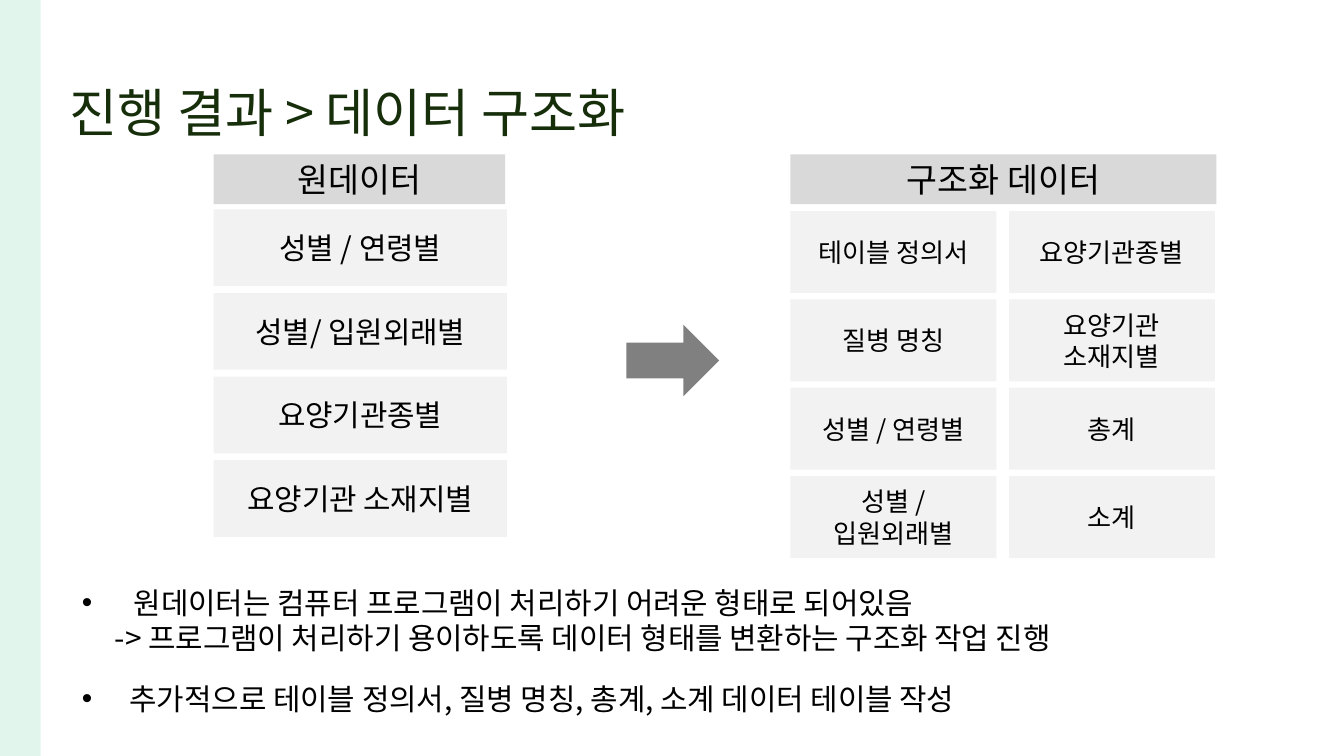
import dataclasses

import pptx
import pptx.dml.color
import pptx.enum.shapes
import pptx.enum.text
import pptx.oxml.ns
import pptx.util
from lxml import etree

Cm = pptx.util.Cm
qn = pptx.oxml.ns.qn
Shape = pptx.enum.shapes.MSO_SHAPE
Align = pptx.enum.text.PP_ALIGN
Anchor = pptx.enum.text.MSO_ANCHOR


@dataclasses.dataclass(frozen=True)
class Theme:
    font: str = "Noto Sans CJK KR"
    band: str = "D8F2E6"
    title: str = "162E0A"
    head: str = "D9D9D9"
    cell: str = "F2F2F2"
    arrow: str = "808080"
    ink: str = "000000"
    title_size: int = 28
    head_size: int = 18
    body_size: int = 16
    cell_size: int = 14


theme = Theme()


def add_run(para, text, size, color):
    run = para.add_run()
    run.text = text
    run.font.size = pptx.util.Pt(size)
    run.font.name = theme.font
    run.font.color.rgb = pptx.dml.color.RGBColor.from_string(color)
    east = etree.SubElement(run.font._element, qn("a:ea"))
    east.set("typeface", theme.font)


def add_block(kind, left, top, width, height, fill, text="", size=0):
    shape = slide.shapes.add_shape(kind, Cm(left), Cm(top), Cm(width), Cm(height))
    shape.shadow.inherit = False
    shape.fill.solid()
    shape.fill.fore_color.rgb = pptx.dml.color.RGBColor.from_string(fill)
    shape.line.fill.background()
    if text:
        frame = shape.text_frame
        frame.word_wrap = True
        frame.vertical_anchor = Anchor.MIDDLE
        para = frame.paragraphs[0]
        para.alignment = Align.CENTER
        add_run(para, text, size, theme.ink)
    return shape


deck = pptx.Presentation()
deck.slide_width, deck.slide_height = Cm(25.4), Cm(14.29)
slide = deck.slides.add_slide(deck.slide_layouts[5])

band = add_block(Shape.RECTANGLE, 0, 0, 0.77, 14.29, theme.band)
color = band._element.spPr.find(".//" + qn("a:srgbClr"))
etree.SubElement(color, qn("a:alpha")).set("val", "75000")

title = slide.shapes.title
title.left, title.top, title.width, title.height = Cm(1.07), Cm(1.17), Cm(20.24), Cm(1.88)
frame = title.text_frame
frame.auto_size = pptx.enum.text.MSO_AUTO_SIZE.NONE
frame.vertical_anchor = Anchor.MIDDLE
frame.margin_left = frame.margin_right = Cm(0.25)
frame.margin_top = frame.margin_bottom = Cm(0.25)
frame.paragraphs[0].alignment = Align.LEFT
add_run(frame.paragraphs[0], "진행 결과 > 데이터 구조화", theme.title_size, theme.title)

for left, width, text in [(4.04, 5.51, "원데이터"), (14.94, 8.05, "구조화 데이터")]:
    add_block(Shape.RECTANGLE, left, 2.92, width, 0.94, theme.head, text, theme.head_size)

source = ["성별 / 연령별", "성별/ 입원외래별", "요양기관종별", "요양기관 소재지별"]
for row, text in enumerate(source):
    add_block(Shape.RECTANGLE, 4.04, 3.96 + row * 1.58, 5.54, 1.45,
              theme.cell, text, theme.body_size)

tables = [
    ("테이블 정의서", "요양기관종별"),
    ("질병 명칭", "요양기관 소재지별"),
    ("성별 / 연령별", "총계"),
    ("성별 / 입원외래별", "소계"),
]
for row, pair in enumerate(tables):
    for col, text in enumerate(pair):
        add_block(Shape.RECTANGLE, 14.94 + col * 4.13, 3.99 + row * 1.67, 3.89, 1.55,
                  theme.cell, text, theme.cell_size)

add_block(Shape.RIGHT_ARROW, 11.84, 6.14, 1.75, 1.35, theme.arrow)

notes = [
    ("원데이터는 컴퓨터 프로그램이 처리하기 어려운 형태로 되어있음", True, 0.98, 0),
    ("-> 프로그램이 처리하기 용이하도록 데이터 형태를 변환하는 구조화 작업 진행", False, 0.62, 0),
    ("추가적으로 테이블 정의서, 질병 명칭, 총계, 소계 데이터 테이블 작성", True, 0.9, 13),
]
box = slide.shapes.add_textbox(Cm(1.3), Cm(10.92), Cm(22.81), Cm(2.82))
frame = box.text_frame
frame.word_wrap = True
for index, (text, mark, indent, gap) in enumerate(notes):
    para = frame.add_paragraph() if index else frame.paragraphs[0]
    props = para._p.get_or_add_pPr()
    props.set("marL", str(Cm(indent)))
    if mark:
        props.set("indent", str(-Cm(indent)))
        tint = etree.SubElement(props, qn("a:buClr"))
        etree.SubElement(tint, qn("a:srgbClr")).set("val", theme.ink)
        etree.SubElement(props, qn("a:buFont")).set("typeface", "Arial")
        etree.SubElement(props, qn("a:buChar")).set("char", "•")
    if gap:
        para.space_before = pptx.util.Pt(gap)
    add_run(para, text, theme.body_size, theme.ink)

deck.save("out.pptx")
